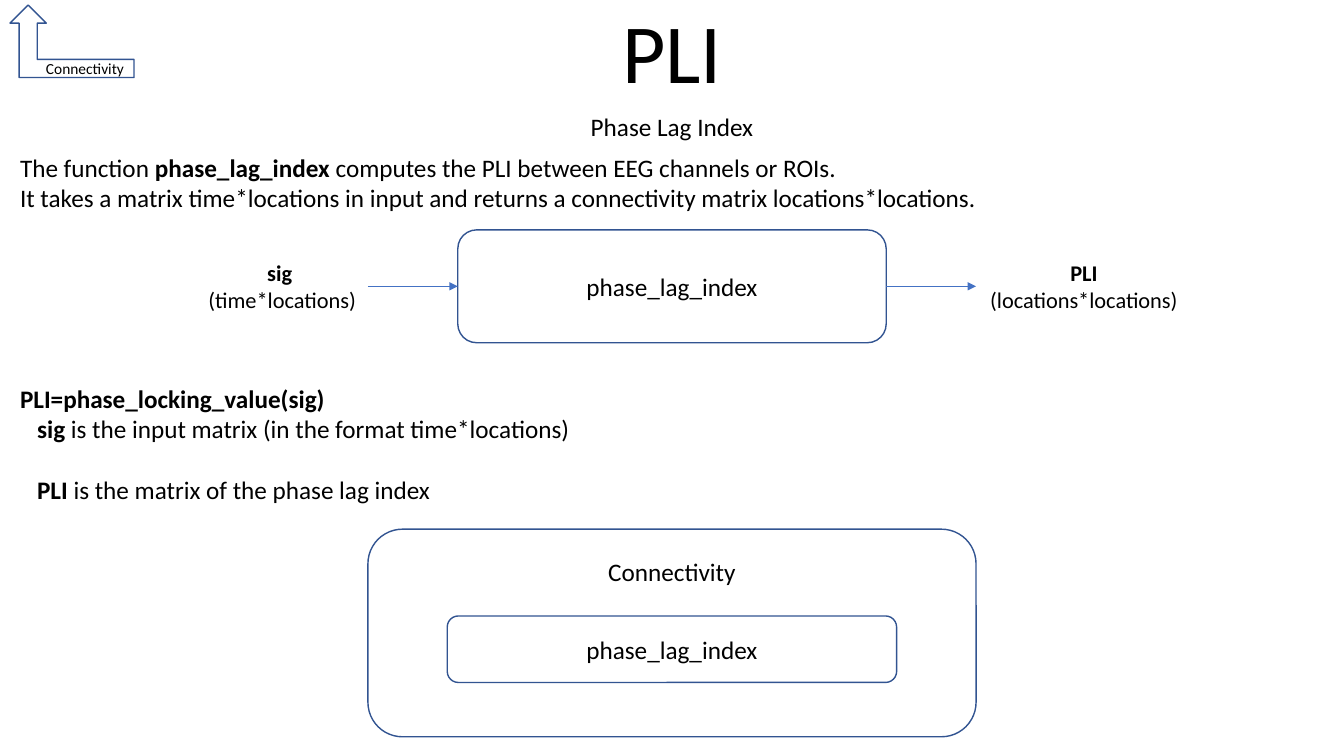
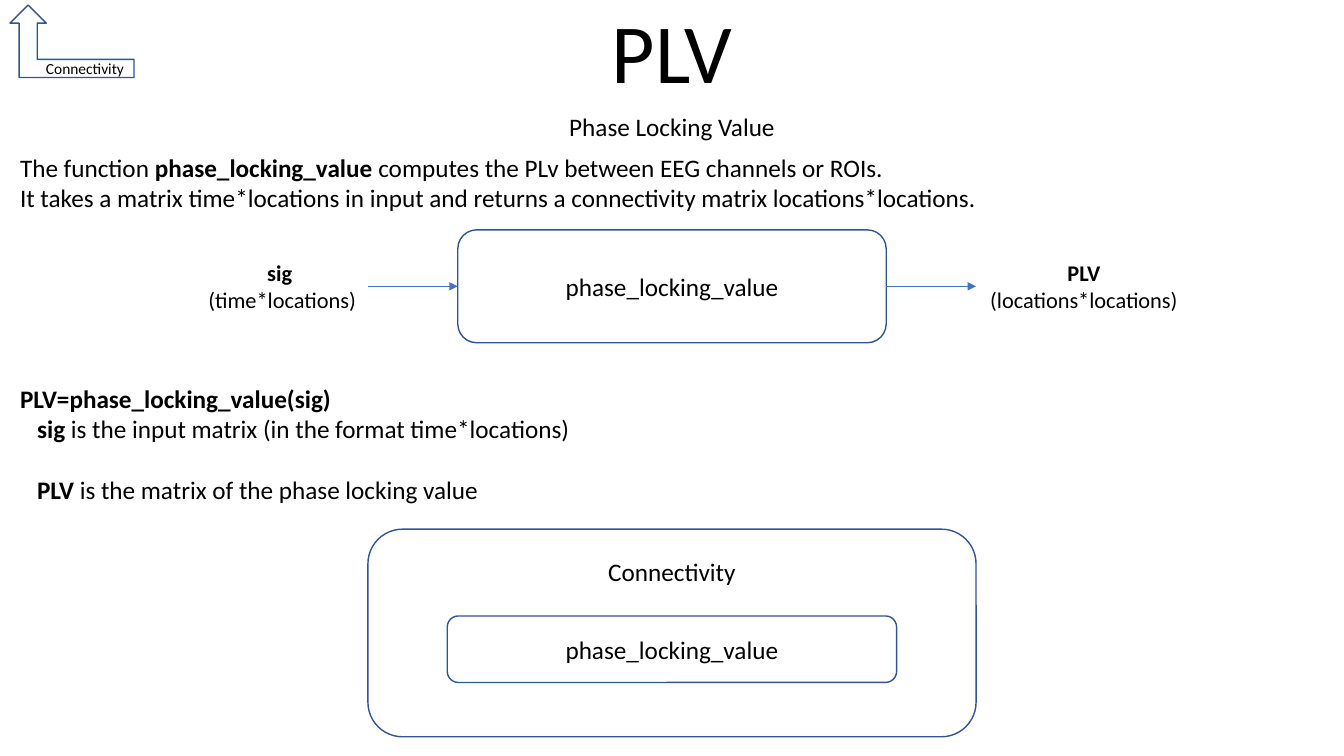
from pptx import Presentation
from pptx.dml.color import RGBColor
from pptx.enum.shapes import MSO_CONNECTOR, MSO_SHAPE
from pptx.enum.text import MSO_ANCHOR, PP_ALIGN
from pptx.oxml.ns import qn
from pptx.util import Pt
from lxml.etree import SubElement

# Shared look
FONT, INK, PAPER, OUTLINE, FLOW = "Calibri", "000000", "FFFFFF", "325491", "4472C4"
WIDTH, HEIGHT, MARGIN = 960, 540, 7.2
LEFT, CENTER, RIGHT = PP_ALIGN.LEFT, PP_ALIGN.CENTER, PP_ALIGN.RIGHT

# Function box, and the arrows on both sides of it
BOX_W, BOX_H, BOX_TOP = 306, 80.6, 164.2
BOX_LEFT = (WIDTH - BOX_W) / 2
BOX_RIGHT = BOX_LEFT + BOX_W
FLOW_Y, FLOW_LENGTH = BOX_TOP + BOX_H / 2, 64.2

MEASURES = [
    ("PLI", "Phase Lag Index", "phase_lag_index", "PLI", "phase lag index"),
    ("PLV", "Phase Locking Value", "phase_locking_value", "PLv", "phase locking value"),
]


def write(shape, lines, size=18, align=CENTER, anchor=MSO_ANCHOR.TOP):
    """Fill a shape with lines, each a list of (text, bold) runs."""
    frame = shape.text_frame
    frame.word_wrap = True
    frame.vertical_anchor = anchor
    for number, line in enumerate(lines):
        paragraph = frame.add_paragraph() if number else frame.paragraphs[0]
        paragraph.alignment = align
        for text, bold in line:
            run = paragraph.add_run()
            run.text = text
            run.font.name = FONT
            run.font.size = Pt(size)
            run.font.bold = bold
            run.font.color.rgb = RGBColor.from_string(INK)
    return frame


def outlined(slide, kind, left, top, width, height):
    shape = slide.shapes.add_shape(kind, Pt(left), Pt(top), Pt(width), Pt(height))
    shape.shadow.inherit = False
    shape.fill.solid()
    shape.fill.fore_color.rgb = RGBColor.from_string(PAPER)
    shape.line.color.rgb = RGBColor.from_string(OUTLINE)
    shape.line.width = Pt(1)
    return shape


prs = Presentation()
prs.slide_width, prs.slide_height = Pt(WIDTH), Pt(HEIGHT)

for short, full, function, mention, meaning in MEASURES:
    slide = prs.slides.add_slide(prs.slide_layouts[6])
    textbox = slide.shapes.add_textbox

    # Title and subtitle
    title = write(textbox(Pt(120), Pt(0), Pt(720), Pt(76.3)),
                  [[(short, False)]], 60, anchor=MSO_ANCHOR.BOTTOM)
    title.paragraphs[0].line_spacing = 0.9
    write(textbox(Pt(0), Pt(76.3), Pt(WIDTH), Pt(29)), [[(full, False)]])

    # Introduction
    write(textbox(Pt(MARGIN), Pt(105.4), Pt(WIDTH - 2 * MARGIN), Pt(51)), [
        [("The function ", False), (function + " ", True),
         (f"computes the {mention} between EEG channels or ROIs.", False)],
        [("It takes a matrix time*locations in input and returns a "
          "connectivity matrix locations*locations.", False)],
    ], align=LEFT)

    # Usage, with the arguments indented
    usage = write(textbox(Pt(MARGIN), Pt(270.3), Pt(WIDTH - 2 * MARGIN), Pt(94.5)), [
        [(f"{short}=phase_locking_value(sig)", True)],
        [("sig ", True), ("is the input matrix (in the format time*locations)", False)],
        [(short + " ", True), (f"is the matrix of the {meaning}", False)],
    ], align=LEFT)
    for argument in usage.paragraphs[1:]:
        argument._p.get_or_add_pPr().set("marL", str(Pt(12.2)))
    usage.paragraphs[2].space_before = Pt(21.6)

    # Function box with its input and output
    function_box = outlined(slide, MSO_SHAPE.ROUNDED_RECTANGLE,
                            BOX_LEFT, BOX_TOP, BOX_W, BOX_H)
    write(function_box, [[(function, False)]], anchor=MSO_ANCHOR.MIDDLE)
    for start in (BOX_LEFT - FLOW_LENGTH, BOX_RIGHT):
        arrow = slide.shapes.add_connector(
            MSO_CONNECTOR.STRAIGHT, Pt(start), Pt(FLOW_Y),
            Pt(start + FLOW_LENGTH), Pt(FLOW_Y))
        if start < BOX_LEFT:
            arrow.end_connect(function_box, 1)
        else:
            arrow.begin_connect(function_box, 3)
        arrow.line.color.rgb = RGBColor.from_string(FLOW)
        arrow.line.width = Pt(0.5)
        SubElement(arrow.line._get_or_add_ln(), qn("a:tailEnd"), type="triangle")
        SubElement(arrow._element.spPr, qn("a:effectLst"))
    for left, width, name, dimensions in (
        (140.4, 122.4, "sig ", "(time*locations)"),
        (BOX_RIGHT + FLOW_LENGTH, 154, short, "(locations*locations)"),
    ):
        write(textbox(Pt(left), Pt(181.4), Pt(width), Pt(46)),
              [[(name, True)], [(dimensions, False)]], 16)

    # Place of the function in the Connectivity group
    group_box = outlined(slide, MSO_SHAPE.ROUNDED_RECTANGLE, 262.8, 378, 434.4, 148.3)
    write(group_box, [[("Connectivity", False)]]).margin_top = Pt(12.2)
    member_box = outlined(slide, MSO_SHAPE.ROUNDED_RECTANGLE, 319.5, 440, 321, 47.5)
    write(member_box, [[(function, False)]], anchor=MSO_ANCHOR.MIDDLE)

    # Arrow back to Connectivity
    back = outlined(slide, MSO_SHAPE.BENT_UP_ARROW, MARGIN, 3.6, 88.6, 51.8)
    back._element.spPr.xfrm.set("flipH", "1")
    write(back, [[("Connectivity", False)]], 11, RIGHT, MSO_ANCHOR.MIDDLE)

prs.save("out.pptx")
